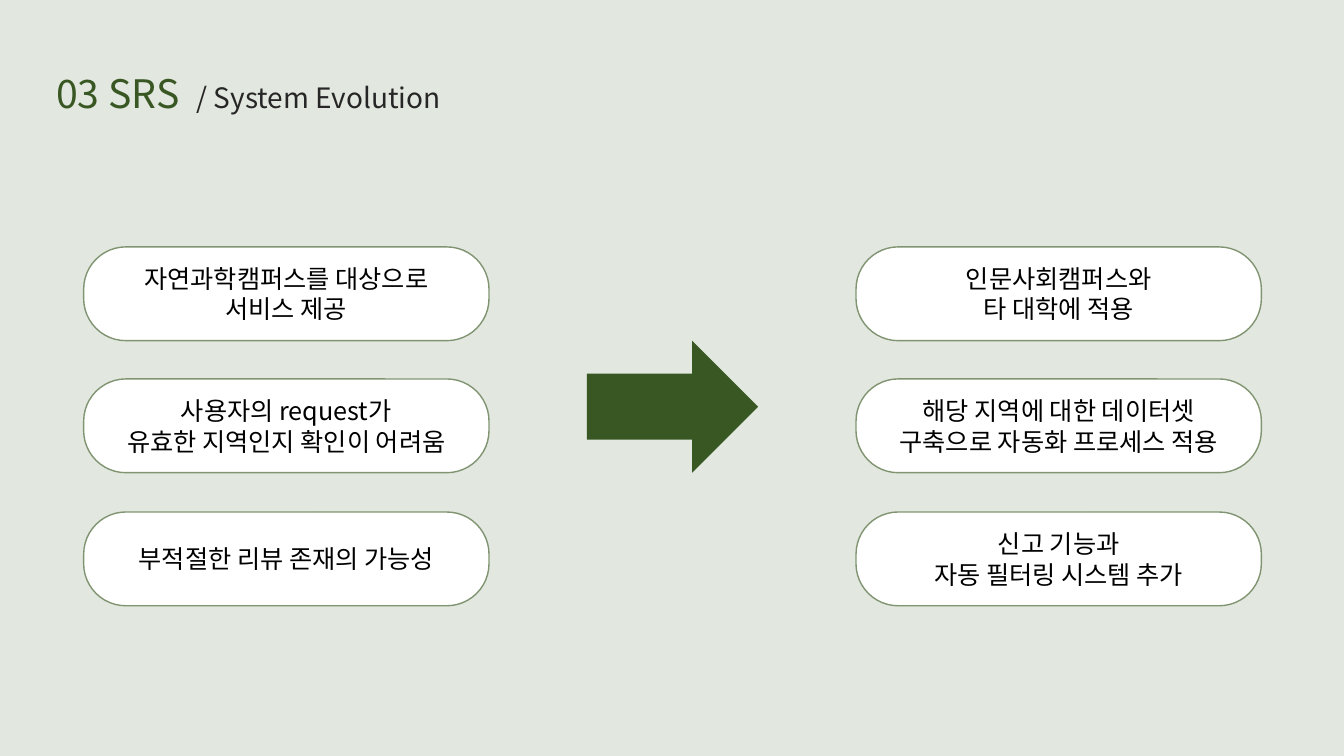
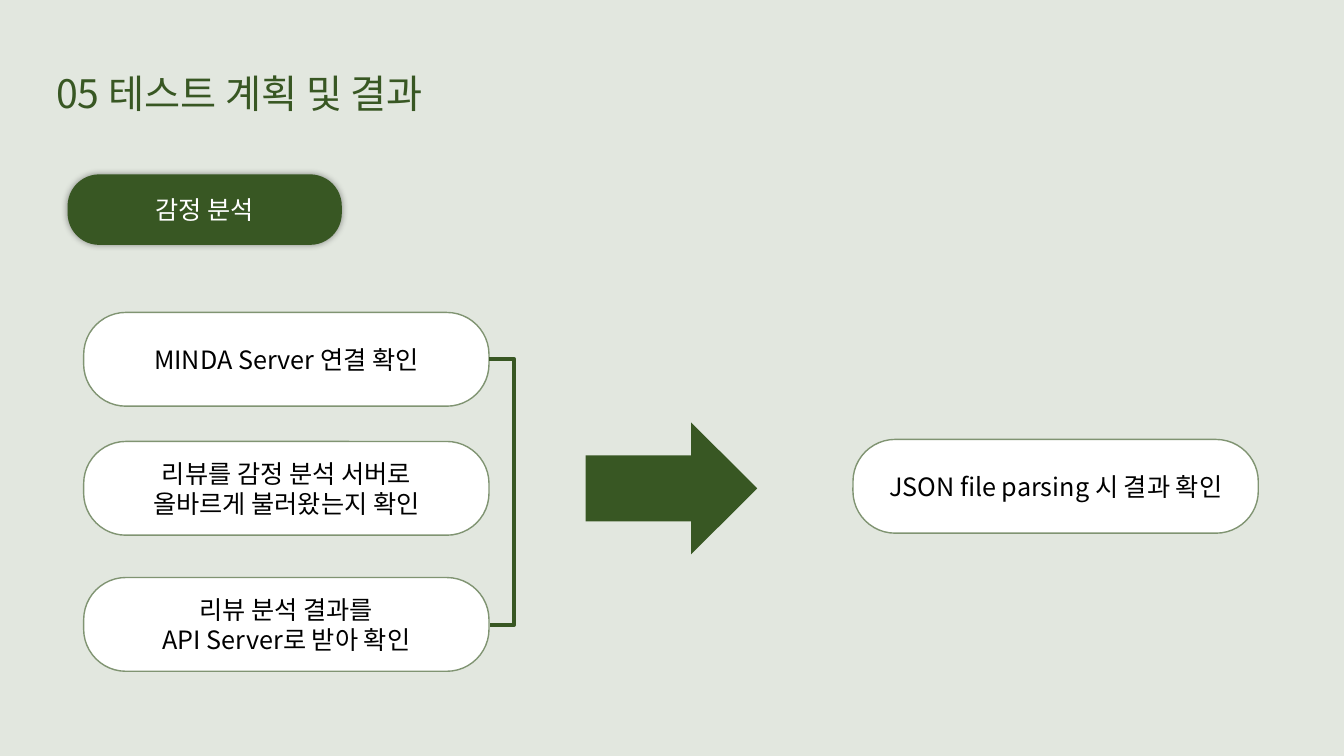
from lxml.etree import SubElement
from pptx import Presentation
from pptx.dml.color import RGBColor
from pptx.enum.shapes import MSO_CONNECTOR, MSO_SHAPE
from pptx.enum.text import MSO_ANCHOR, PP_ALIGN
from pptx.oxml.ns import qn
from pptx.util import Inches, Pt

FONT = "Noto Sans CJK KR"
GREEN, SAGE, PALE = "385723", "809472", "E2E7DF"
WHITE, BLACK, GREY = "FFFFFF", "000000", "262626"
CARD_WIDTH, CARD_HEIGHT = 4.02, 0.93
LEFT_COLUMN = 0.83


def add_span(para, text, size, color):
    span = para.add_run()
    span.text = text
    for name, value in {"name": FONT, "size": Pt(size)}.items():
        setattr(span.font, name, value)
    span.font.color.rgb = RGBColor.from_string(color)
    SubElement(span.font._element, qn("a:ea"), typeface=FONT)


def add_block(page, preset, place, fill, line=None, text="", color=BLACK):
    block = page.shapes.add_shape(preset, *map(Inches, place))
    block.shadow.inherit = False
    block.fill.solid()
    block.fill.fore_color.rgb = RGBColor.from_string(fill)
    if line:
        block.line.color.rgb = RGBColor.from_string(line)
        block.line.width = Pt(1)
    else:
        block.line.fill.background()
    if preset == MSO_SHAPE.ROUNDED_RECTANGLE:
        block.adjustments[0] = 0.45
    frame = block.text_frame
    frame.word_wrap = True
    frame.vertical_anchor = MSO_ANCHOR.MIDDLE
    for index, words in enumerate(text.split("\n") if text else []):
        para = frame.add_paragraph() if index else frame.paragraphs[0]
        para.alignment = PP_ALIGN.CENTER
        add_span(para, words, 18, color)
    return block


# Deck and shared background
deck = Presentation()
deck.slide_width, deck.slide_height = Inches(13.33), Inches(7.5)
background = deck.slide_master.background.fill
background.solid()
background.fore_color.rgb = RGBColor.from_string(PALE)

# Slide contents: title spans, arrow place, cards as (left, top, text)
slides = [
    {
        "title": [("03 SRS\t", 28, GREEN), ("/ System Evolution", 20, GREY)],
        "arrow": (5.82, 3.38),
        "cards": [
            (LEFT_COLUMN, 2.45, "자연과학캠퍼스를 대상으로\n서비스 제공"),
            (8.49, 2.45, "인문사회캠퍼스와\n타 대학에 적용"),
            (LEFT_COLUMN, 3.76, "사용자의 request가\n유효한 지역인지 확인이 어려움"),
            (8.49, 3.76, "해당 지역에 대한 데이터셋 구축으로 자동화 프로세스 적용"),
            (LEFT_COLUMN, 5.08, "부적절한 리뷰 존재의 가능성"),
            (8.49, 5.08, "신고 기능과\n자동 필터링 시스템 추가"),
        ],
    },
    {
        "title": [("05 테스트 계획 및 결과", 28, GREEN)],
        "arrow": (5.81, 4.19),
        "cards": [
            (LEFT_COLUMN, 3.1, "MINDA Server 연결 확인"),
            (LEFT_COLUMN, 4.38, "리뷰를 감정 분석 서버로\n올바르게 불러왔는지 확인"),
            (LEFT_COLUMN, 5.73, "리뷰 분석 결과를\nAPI Server로 받아 확인"),
            (8.46, 4.36, "JSON file parsing 시 결과 확인"),
        ],
    },
]

for content in slides:
    page = deck.slides.add_slide(deck.slide_layouts[6])

    # Title
    box = page.shapes.add_textbox(*map(Inches, (0.46, 0.46, 7.67, 0.93)))
    box.text_frame.word_wrap = True
    box.text_frame.vertical_anchor = MSO_ANCHOR.MIDDLE
    para = box.text_frame.paragraphs[0]
    tabs = SubElement(para._p.get_or_add_pPr(), qn("a:tabLst"))
    SubElement(tabs, qn("a:tab"), pos=str(Inches(1.39)), algn="l")
    for words, size, color in content["title"]:
        add_span(para, words, size, color)

    # Cards and arrow
    for left, top, text in content["cards"]:
        add_block(page, MSO_SHAPE.ROUNDED_RECTANGLE,
                  (left, top, CARD_WIDTH, CARD_HEIGHT), WHITE, SAGE, text)
    add_block(page, MSO_SHAPE.RIGHT_ARROW, (*content["arrow"], 1.7, 1.31), GREEN)

# Section badge with a soft glow-like shadow on the test slide
badge = add_block(page, MSO_SHAPE.ROUNDED_RECTANGLE, (0.67, 1.73, 2.72, 0.7),
                  GREEN, text="감정 분석", color=WHITE)
effects = badge._element.spPr.find(qn("a:effectLst"))
shadow = SubElement(effects, qn("a:outerShdw"), blurRad=str(Pt(5)), algn="ctr")
shadow_color = SubElement(shadow, qn("a:srgbClr"), val=BLACK)
SubElement(shadow_color, qn("a:alpha"), val="40000")

# Bracket joining the first and last cards
bracket_left, bracket_width, bracket_reach = 4.85, 0.01, 0.25
bracket = page.shapes.add_connector(
    MSO_CONNECTOR.ELBOW, Inches(bracket_left), Inches(3.56),
    Inches(bracket_left + bracket_width), Inches(6.2))
bracket.line.color.rgb = RGBColor.from_string(GREEN)
bracket.line.width = Pt(3)
properties = bracket._element.spPr
SubElement(properties, qn("a:effectLst"))
guides = properties.find(qn("a:prstGeom")).get_or_add_avLst()
bend = round(bracket_reach / bracket_width * 100000)
SubElement(guides, qn("a:gd"), name="adj1", fmla=f"val {bend}")

deck.save("out.pptx")
